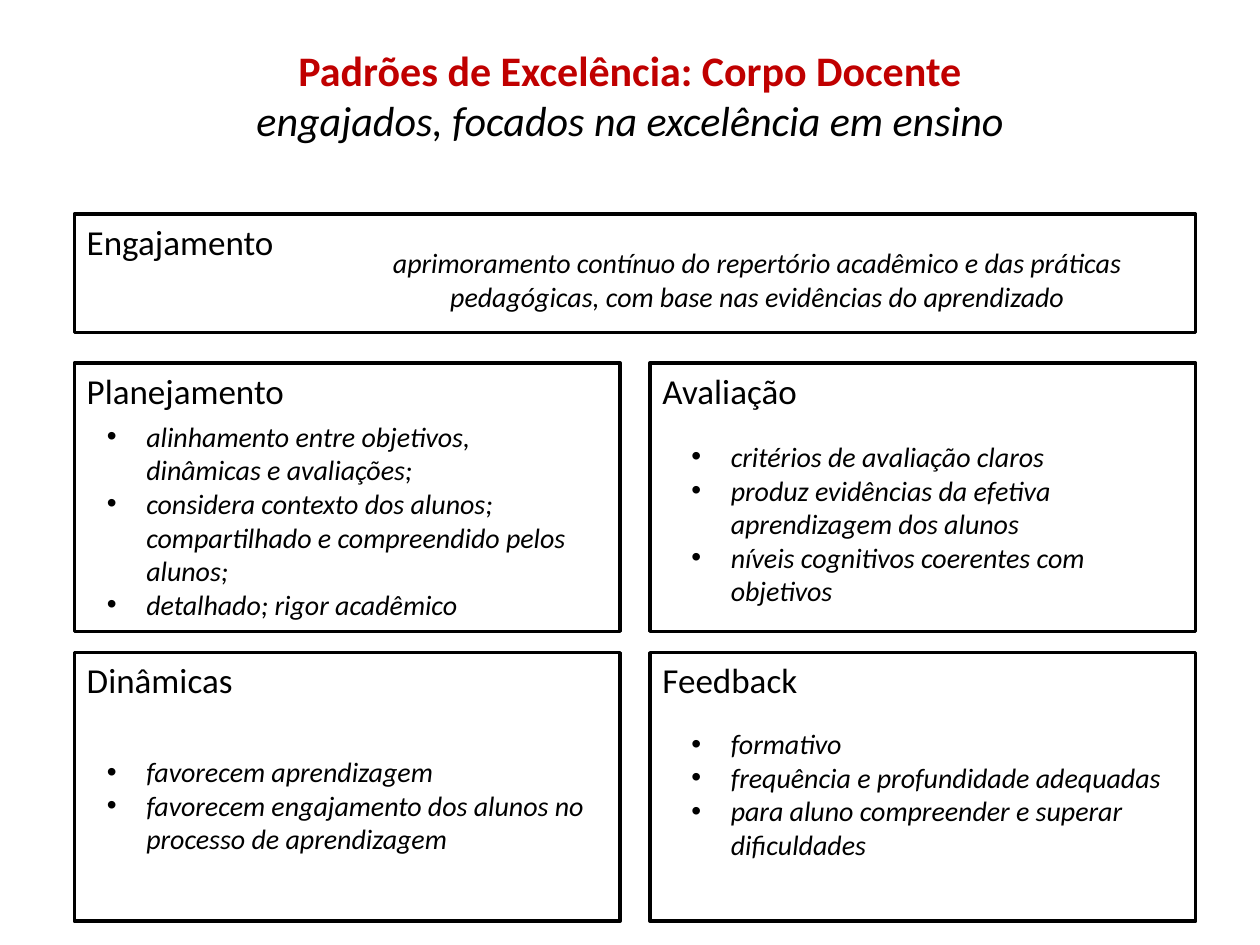
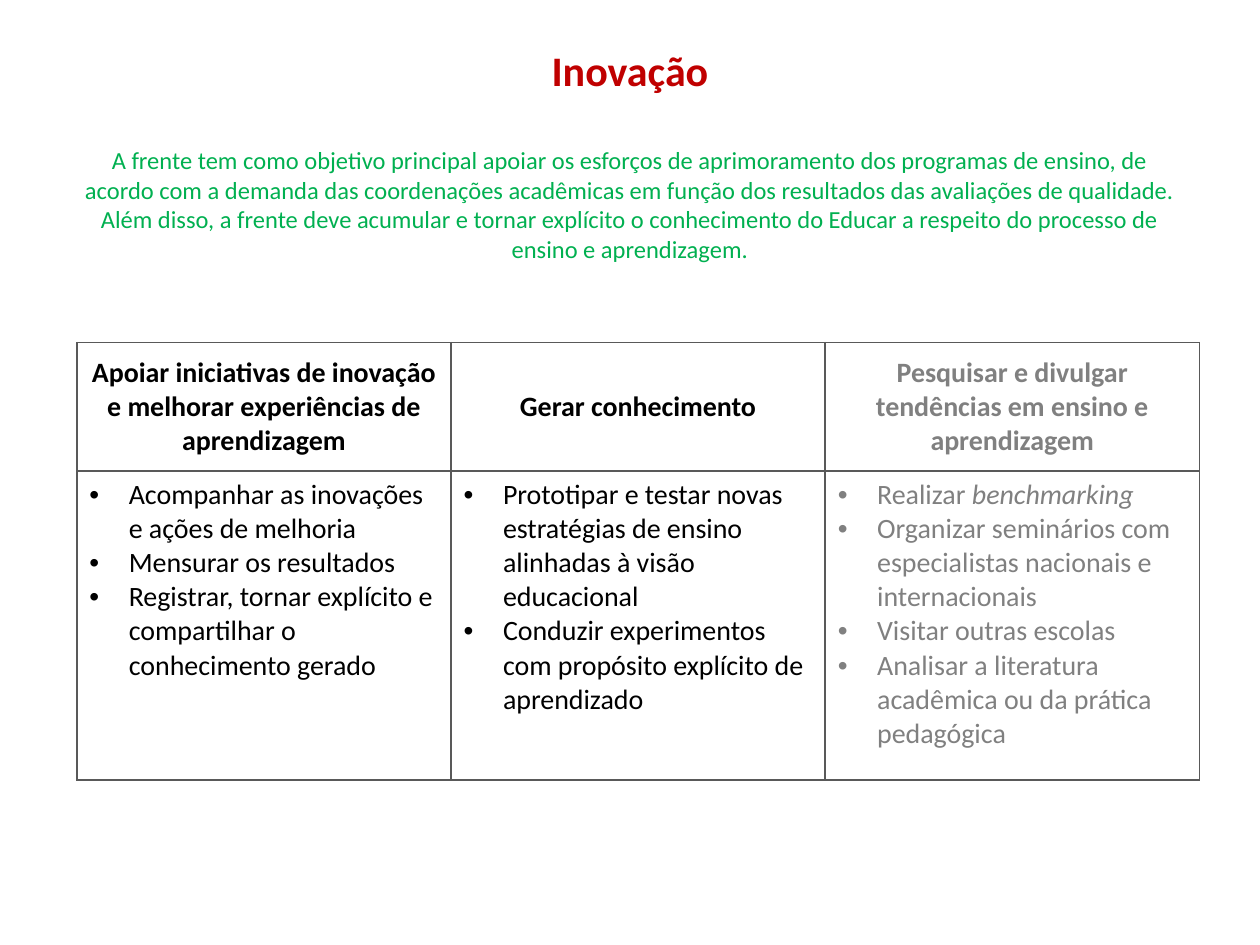
from lxml.etree import SubElement
from pptx import Presentation
from pptx.dml.color import RGBColor
from pptx.enum.shapes import MSO_SHAPE as SHAPE
from pptx.enum.text import MSO_ANCHOR as ANCHOR, MSO_AUTO_SIZE as AUTO, PP_ALIGN as ALIGN
from pptx.oxml.ns import qn
from pptx.util import Pt

RED = RGBColor(0xC0, 0x00, 0x00)
GREEN = RGBColor(0x00, 0xB0, 0x50)
BLACK = RGBColor(0x00, 0x00, 0x00)
WHITE = RGBColor(0xFF, 0xFF, 0xFF)
GRAY = RGBColor(0x80, 0x80, 0x80)
BORDER = "595959"
FONT = "Calibri"
INDENT = Pt(22.5)


def write(p, text, size, color=BLACK, bold=False, italic=False, align=ALIGN.LEFT):
    p.alignment = align
    f = p.font
    f.name, f.size, f.bold, f.italic = FONT, Pt(size), bold, italic
    f.color.rgb = color
    for i, part in enumerate(text.split("*")):
        r = p.add_run()
        r.text = part
        if i % 2:
            r.font.italic = True


def write_bullets(tf, items, color=BLACK, italic=False):
    for i, item in enumerate(items):
        p = tf.add_paragraph() if i else tf.paragraphs[0]
        write(p, item, 16, color, italic=italic)
        pPr = p._p.get_or_add_pPr()
        pPr.set("marL", str(INDENT))
        pPr.set("indent", str(-INDENT))
        font = pPr.makeelement(qn("a:buFont"), {"typeface": "Arial"})
        char = pPr.makeelement(qn("a:buChar"), {"char": "•"})
        pPr.find(qn("a:defRPr")).addprevious(font)
        font.addnext(char)


prs = Presentation()
prs.slide_width, prs.slide_height = Pt(720), Pt(540)

titles = [
    ("Padrões de Excelência: Corpo Docente",
     "engajados, focados na excelência em ensino", 24, BLACK, True, 0),
    ("Inovação",
     "A frente tem como objetivo principal apoiar os esforços de aprimoramento dos "
     "programas de ensino, de acordo com a demanda das coordenações acadêmicas em função "
     "dos resultados das avaliações de qualidade. Além disso, a frente deve acumular e "
     "tornar explícito o conhecimento do Educar a respeito do processo de ensino e "
     "aprendizagem.", 14, GREEN, False, 29),
]
slides = []
for title, subtitle, size, color, italic, gap in titles:
    s = prs.slides.add_slide(prs.slide_layouts[5])
    slides.append(s)
    sp = s.shapes.title
    sp.left, sp.top, sp.width, sp.height = Pt(36), Pt(21.6), Pt(648), Pt(140.4)
    tf = sp.text_frame
    tf.auto_size = AUTO.NONE
    tf.vertical_anchor = ANCHOR.TOP
    write(tf.paragraphs[0], title, 24, RED, bold=True, align=ALIGN.CENTER)
    p = tf.add_paragraph()
    write(p, subtitle, size, color, italic=italic, align=ALIGN.CENTER)
    p.space_before = Pt(gap)

standards, innovation = slides

LEFT, RIGHT = 42.5, 371.5
UPPER, LOWER = 207.4, 373
BOX_W, BOX_H = 311.8, 153.4
boxes = [
    ("Engajamento", LEFT, 122.4, 640.8, 67.7),
    ("Planejamento", LEFT, UPPER, BOX_W, BOX_H),
    ("Dinâmicas", LEFT, LOWER, BOX_W, BOX_H),
    ("Avaliação", RIGHT, UPPER, BOX_W, BOX_H),
    ("Feedback", RIGHT, LOWER, BOX_W, BOX_H),
]
for name, *place in boxes:
    sp = standards.shapes.add_shape(SHAPE.RECTANGLE, *map(Pt, place))
    sp.shadow.inherit = False
    sp.fill.solid()
    sp.fill.fore_color.rgb = WHITE
    sp.line.color.rgb = BLACK
    sp.line.width = Pt(2)
    sp.text_frame.vertical_anchor = ANCHOR.TOP
    write(sp.text_frame.paragraphs[0], name, 20)

sp = standards.shapes.add_textbox(Pt(193.7), Pt(133.9), Pt(478), Pt(51.1))
tf = sp.text_frame
tf.word_wrap = True
tf.vertical_anchor = ANCHOR.MIDDLE
write(tf.paragraphs[0],
      "aprimoramento contínuo do repertório acadêmico e das práticas pedagógicas, "
      "com base nas evidências do aprendizado", 16, italic=True, align=ALIGN.CENTER)

lists = [
    (54, 249, ANCHOR.MIDDLE,
     ["alinhamento entre objetivos, dinâmicas e avaliações;",
      "considera contexto dos alunos; compartilhado e compreendido pelos alunos;",
      "detalhado; rigor acadêmico"]),
    (54, 411.8, ANCHOR.MIDDLE,
     ["favorecem aprendizagem",
      "favorecem engajamento dos alunos no processo de aprendizagem"]),
    (388, 247.7, ANCHOR.TOP,
     ["critérios de avaliação claros",
      "produz evidências da efetiva aprendizagem dos alunos",
      "níveis cognitivos coerentes com objetivos"]),
    (388, 411.8, ANCHOR.TOP,
     ["formativo",
      "frequência e profundidade adequadas",
      "para aluno compreender e superar dificuldades"]),
]
for x, y, anchor, items in lists:
    sp = standards.shapes.add_textbox(Pt(x), Pt(y), Pt(289.5), Pt(96.5))
    tf = sp.text_frame
    tf.word_wrap = True
    tf.vertical_anchor = anchor
    write_bullets(tf, items, italic=True)

fronts = [
    ("Apoiar iniciativas de inovação e melhorar experiências de aprendizagem", BLACK,
     ["Acompanhar as inovações e ações de melhoria",
      "Mensurar os resultados",
      "Registrar, tornar explícito e compartilhar o conhecimento gerado"]),
    ("Gerar conhecimento", BLACK,
     ["Prototipar e testar novas estratégias de ensino alinhadas à visão educacional",
      "Conduzir experimentos com propósito explícito de aprendizado"]),
    ("Pesquisar e divulgar tendências em ensino e aprendizagem", GRAY,
     ["Realizar *benchmarking*",
      "Organizar seminários com especialistas nacionais e internacionais",
      "Visitar outras escolas",
      "Analisar a literatura acadêmica ou da prática pedagógica"]),
]
table = innovation.shapes.add_table(
    2, len(fronts), Pt(43.9), Pt(195.8), Pt(641.5), Pt(249.8)).table
table.first_row = table.horz_banding = False
table.rows[0].height, table.rows[1].height = Pt(73.4), Pt(176.4)
for col, (heading, color, items) in enumerate(fronts):
    head, body = table.cell(0, col), table.cell(1, col)
    head.vertical_anchor = ANCHOR.MIDDLE
    write(head.text_frame.paragraphs[0], heading, 16, color, bold=True, align=ALIGN.CENTER)
    write_bullets(body.text_frame, items, color)
    for cell in (head, body):
        tcPr = cell._tc.get_or_add_tcPr()
        for side in ("a:lnL", "a:lnR", "a:lnT", "a:lnB"):
            ln = SubElement(tcPr, qn(side), w=str(Pt(1)))
            SubElement(SubElement(ln, qn("a:solidFill")), qn("a:srgbClr"), val=BORDER)
        cell.fill.background()

prs.save("out.pptx")
